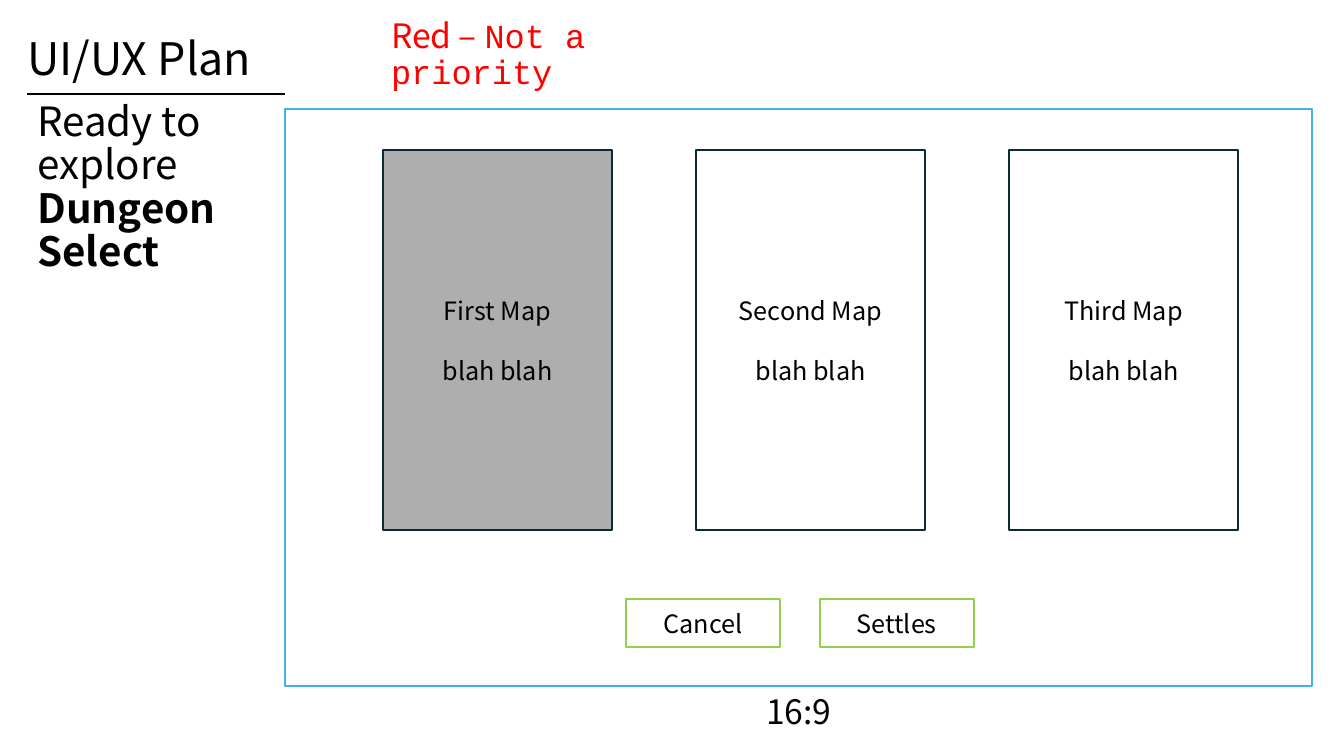
from dataclasses import dataclass
from typing import NamedTuple

from lxml import etree
from pptx import Presentation
from pptx import util as u
from pptx.dml.color import RGBColor
from pptx.enum import shapes, text
from pptx.oxml.ns import qn


@dataclass(frozen=True)
class Theme:
    sans: str = "Noto Sans CJK KR"
    mono: str = "Courier New"
    ink: str = "000000"
    alert: str = "FF0000"
    frame: str = "46B1E1"
    card_edge: str = "092A39"
    card: str = "FFFFFF"
    selected: str = "AEAEAE"
    button: str = "92D050"
    heading: float = 32
    title: float = 28.8
    note: float = 24
    body: float = 18
    tiny: float = 9
    stroke: float = 1.5
    tight: float = 0.9
    card_gap: float = 21.5


T = Theme()


class Box(NamedTuple):
    x: int
    y: int
    w: int
    h: int

    def inner(self, x, y, w, h):
        """Inner box, given in percent of this one."""
        return Box(int(self.x + self.w * x / 100), int(self.y + self.h * y / 100),
                   int(self.w * w / 100), int(self.h * h / 100))


def add_run(p, words, size, **fmt):
    r = p.add_run()
    r.text = words
    color = fmt.pop("color", T.ink)
    for name, value in {"name": T.sans, "size": u.Pt(size), **fmt}.items():
        setattr(r.font, name, value)
    r.font.color.rgb = RGBColor.from_string(color)


def set_frame(tf):
    for name, value in {"word_wrap": True, "auto_size": text.MSO_AUTO_SIZE.NONE,
                        "vertical_anchor": text.MSO_ANCHOR.MIDDLE}.items():
        setattr(tf, name, value)


def add_label(s, box):
    """Text box in tight line spacing; returns its paragraph."""
    tf = s.shapes.add_textbox(*box).text_frame
    set_frame(tf)
    p = tf.paragraphs[0]
    p.line_spacing = T.tight
    return p


def add_panel(s, box, edge, fill=None, lines=()):
    sp = s.shapes.add_shape(shapes.MSO_SHAPE.RECTANGLE, *box)
    sp.shadow.inherit = False
    if fill:
        sp.fill.solid()
        sp.fill.fore_color.rgb = RGBColor.from_string(fill)
    else:
        sp.fill.background()
    sp.line.color.rgb = RGBColor.from_string(edge)
    sp.line.width = u.Pt(T.stroke)
    tf = sp.text_frame
    set_frame(tf)
    for i, words in enumerate(lines):
        p = tf.add_paragraph() if i else tf.paragraphs[0]
        p.alignment = text.PP_ALIGN.CENTER
        if i:
            p.space_before = u.Pt(T.card_gap)
        add_run(p, words, T.body)


def add_header(s, page):
    add_run(add_label(s, page.inner(1.28, 1.73, 86.27, 12.8)), "UI/UX Plan", T.heading)
    rule = page.inner(2.03, 12.4, 19.2, 0)
    line = s.shapes.add_connector(shapes.MSO_CONNECTOR.STRAIGHT,
                                  rule.x, rule.y, rule.x + rule.w, rule.y)
    line.line.color.rgb = RGBColor.from_string(T.ink)
    line.line.width = u.Pt(T.stroke)
    etree.SubElement(line._element.spPr, qn("a:effectLst"))
    p = add_label(s, page.inner(28.36, 2, 24.98, 10.67))
    add_run(p, "Red – ", T.note, color=T.alert)
    add_run(p, "Not a priority", T.note, color=T.alert, name=T.mono)
    add_run(p, " ", T.tiny, color=T.alert)


def add_title(s, box):
    title = s.shapes.title
    for name, value in zip(("left", "top", "width", "height"), box):
        setattr(title, name, value)
    set_frame(title.text_frame)
    p = title.text_frame.paragraphs[0]
    p.alignment = text.PP_ALIGN.LEFT
    p.line_spacing = T.tight
    add_run(p, "Ready to explore", T.title)
    p.add_line_break()
    add_run(p, "Dungeon Select", T.title, bold=True)


def add_screen(s, box):
    """Wireframe of the game screen: map cards above a row of buttons."""
    add_panel(s, box, T.frame)
    for i, name in enumerate(("First Map", "Second Map", "Third Map")):
        add_panel(s, box.inner(9.53 + 30.5 * i, 7.16, 22.3, 65.79), T.card_edge,
                  T.card if i else T.selected, (name, "blah blah"))
    for i, name in enumerate(("Cancel", "Settles")):
        add_panel(s, box.inner(33.2 + 18.86 * i, 84.82, 15.03, 8.38), T.button,
                  lines=(name,))


def main():
    prs = Presentation()
    prs.slide_width, prs.slide_height = u.Inches(13.33), u.Inches(7.5)
    page = Box(0, 0, prs.slide_width, prs.slide_height)
    s = prs.slides.add_slide(prs.slide_layouts[5])
    add_header(s, page)
    add_title(s, page.inner(2.03, 12.4, 18.6, 25.07))
    add_screen(s, page.inner(21.23, 14.4, 76.37, 76.4))
    add_run(add_label(s, page.inner(56.26, 89.07, 9.38, 10.67)), "16:9", T.note)
    prs.save("out.pptx")


if __name__ == "__main__":
    main()
